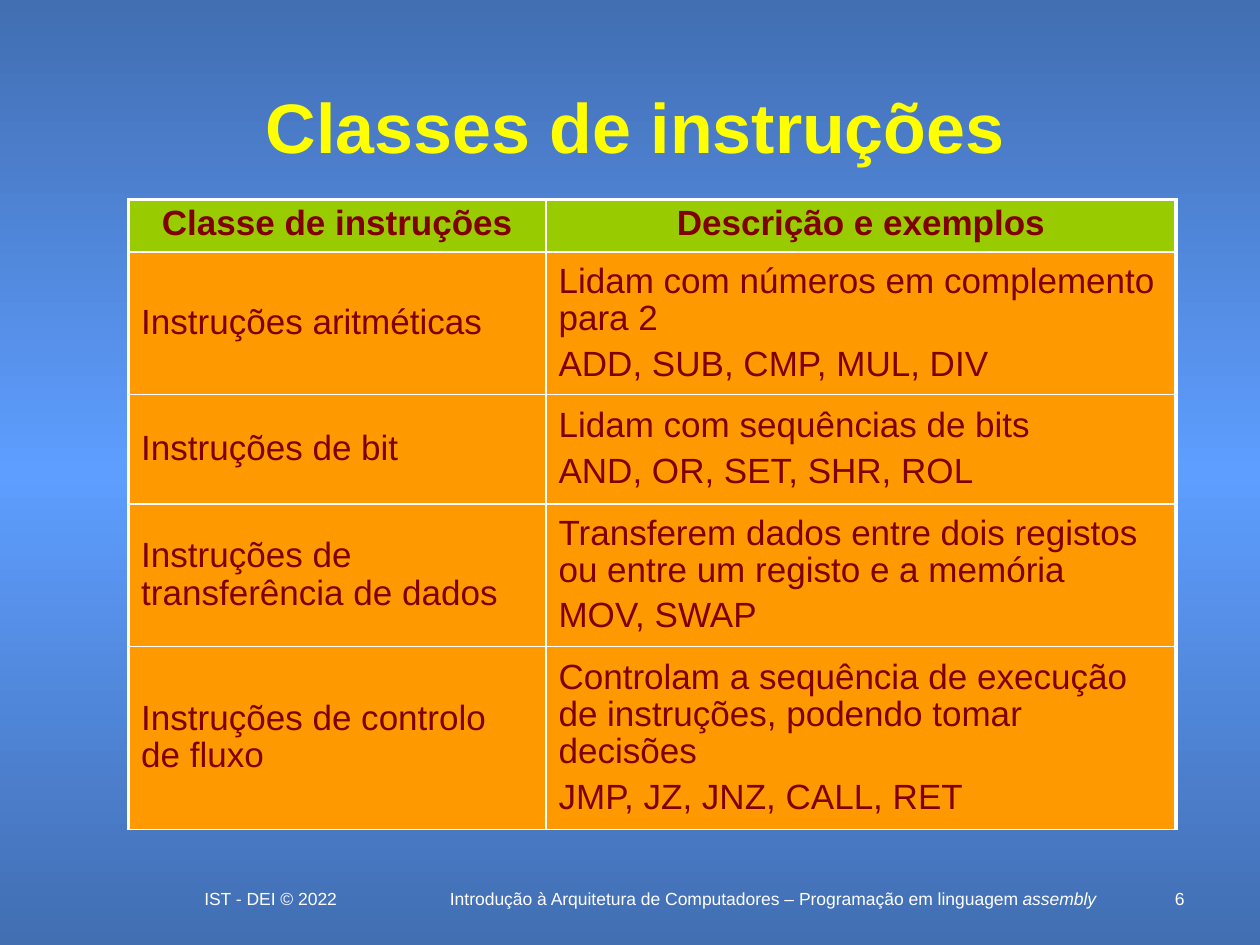
"""Builds the slide that lists the classes of instructions in a table."""
from typing import NamedTuple

from lxml import etree
from pptx import Presentation
from pptx.dml.color import RGBColor
from pptx.enum.text import MSO_ANCHOR, PP_ALIGN
from pptx.oxml.ns import qn
from pptx.util import Pt

LEFT, CENTER, RIGHT = PP_ALIGN.LEFT, PP_ALIGN.CENTER, PP_ALIGN.RIGHT
TOP, MIDDLE = MSO_ANCHOR.TOP, MSO_ANCHOR.MIDDLE
FONT = "Arial"
COLORS = {
    "edge": "426EB2",
    "glow": "5E9EFF",
    "title": "FFFF00",
    "white": "FFFFFF",
    "head": "99CC00",
    "body": "FF9900",
    "text": "800000",
}
COL_WIDTHS = (238.5, 360)
THIN, THICK = 1, 2.25


class Footer(NamedTuple):
    left: float
    width: float
    height: float
    align: PP_ALIGN
    text: str
    italic: str = ""


class Row(NamedTuple):
    height: float
    name: str
    description: tuple[str, ...]


FOOTERS = (
    Footer(250, 383.5, 18, CENTER,
           "Introdução à Arquitetura de Computadores – Programação em linguagem ", "assembly"),
    Footer(654, 30, 12, RIGHT, "6"),
    Footer(96, 120, 18, CENTER, "IST - DEI © 2022 "),
)
ROWS = (
    Row(30, "Classe de instruções", ("Descrição e exemplos",)),
    Row(81.5, "Instruções aritméticas",
        ("Lidam com números em complemento para 2", "ADD, SUB, CMP, MUL, DIV")),
    Row(62.5, "Instruções de bit",
        ("Lidam com sequências de bits", "AND, OR, SET, SHR, ROL")),
    Row(81.5, "Instruções de transferência de dados",
        ("Transferem dados entre dois registos ou entre um registo e a memória", "MOV, SWAP")),
    Row(104.5, "Instruções de controlo de fluxo",
        ("Controlam a sequência de execução de instruções, podendo tomar decisões",
         "JMP, JZ, JNZ, CALL, RET")),
)


def rgb(name: str) -> RGBColor:
    return RGBColor.from_string(COLORS[name])


def style(p, size: float, color: str, align: PP_ALIGN, bold: bool = False) -> None:
    p.alignment = align
    p.font.name, p.font.size, p.font.bold = FONT, Pt(size), bold
    p.font.color.rgb = rgb(color)


def paint_background(s) -> None:
    fill = s.background.fill
    fill.gradient()
    fill.gradient_angle = 90
    stops = s.element.find(".//" + qn("a:gsLst"))
    for stop in list(stops):
        stops.remove(stop)
    for percent, color in ((0, "edge"), (50, "glow"), (100, "edge")):
        stop = etree.SubElement(stops, qn("a:gs"), pos=str(percent * 1000))
        etree.SubElement(stop, qn("a:srgbClr"), val=COLORS[color])


def add_title(s, text: str) -> None:
    sp = s.shapes.title
    sp.left, sp.top, sp.width, sp.height = Pt(54), Pt(48), Pt(618), Pt(48)
    tf = sp.text_frame
    tf.text, tf.vertical_anchor = text, MIDDLE
    style(tf.paragraphs[0], 40, "title", CENTER, bold=True)


def add_footer(s, footer: Footer) -> None:
    sp = s.shapes.add_textbox(Pt(footer.left), Pt(504), Pt(footer.width), Pt(footer.height))
    tf = sp.text_frame
    tf.word_wrap = True
    p = tf.paragraphs[0]
    style(p, 10, "white", footer.align)
    p.add_run().text = footer.text
    if footer.italic:
        r = p.add_run()
        r.text, r.font.italic = footer.italic, True


def set_borders(cell, **widths: float) -> None:
    tc_pr = cell._tc.get_or_add_tcPr()
    for i, side in enumerate("LRTB"):
        ln = etree.Element(qn("a:ln" + side), w=str(Pt(widths[side])))
        fill = etree.SubElement(ln, qn("a:solidFill"))
        etree.SubElement(fill, qn("a:srgbClr"), val=COLORS["white"])
        tc_pr.insert(i, ln)


def fill_cell(cell, lines: tuple[str, ...], is_head: bool) -> None:
    cell.fill.solid()
    cell.fill.fore_color.rgb = rgb("head" if is_head else "body")
    cell.vertical_anchor = TOP if is_head else MIDDLE
    cell.margin_left = cell.margin_right = Pt(7.2)
    cell.margin_top = cell.margin_bottom = Pt(3.6)
    tf = cell.text_frame
    tf.text = "\n".join(lines)
    for p in tf.paragraphs:
        style(p, 20, "text", CENTER if is_head else LEFT, bold=is_head)
        p.line_spacing, p.space_before = 0.95, Pt(5)


def add_class_table(s, rows: tuple[Row, ...]) -> None:
    frame = s.shapes.add_table(len(rows), len(COL_WIDTHS), Pt(73.5), Pt(114),
                               Pt(sum(COL_WIDTHS)), Pt(sum(row.height for row in rows)))
    table = frame.table
    for column, width in zip(table.columns, COL_WIDTHS):
        column.width = Pt(width)
    for i, row in enumerate(rows):
        table.rows[i].height = Pt(row.height)
        for j, lines in enumerate(((row.name,), row.description)):
            cell = table.cell(i, j)
            fill_cell(cell, lines, is_head=i == 0)
            set_borders(cell, L=THIN if j else THICK, R=THICK if j else THIN,
                        T=THIN if i else THICK, B=THIN)


def main() -> None:
    prs = Presentation()
    prs.slide_width, prs.slide_height = Pt(720), Pt(540)
    s = prs.slides.add_slide(prs.slide_layouts[5])
    paint_background(s)
    for footer in FOOTERS:
        add_footer(s, footer)
    add_title(s, "Classes de instruções")
    add_class_table(s, ROWS)
    prs.save("out.pptx")


if __name__ == "__main__":
    main()
